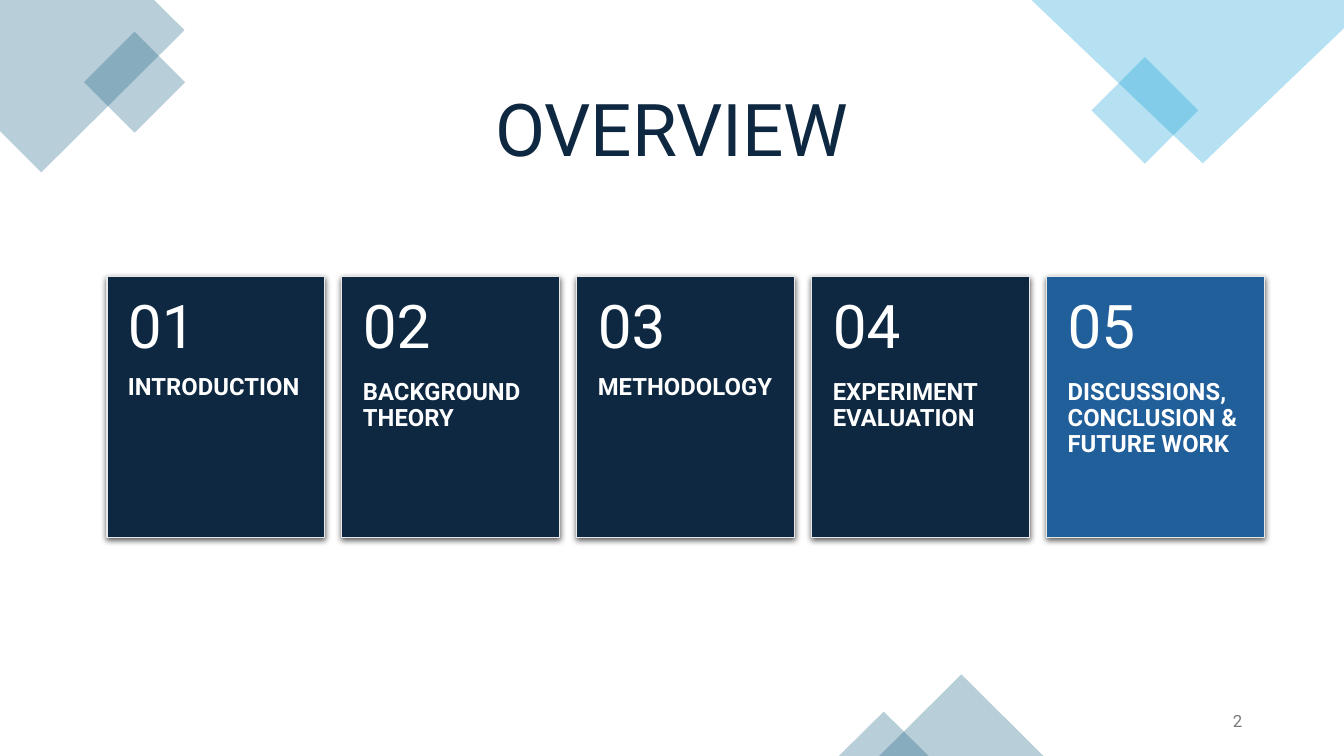
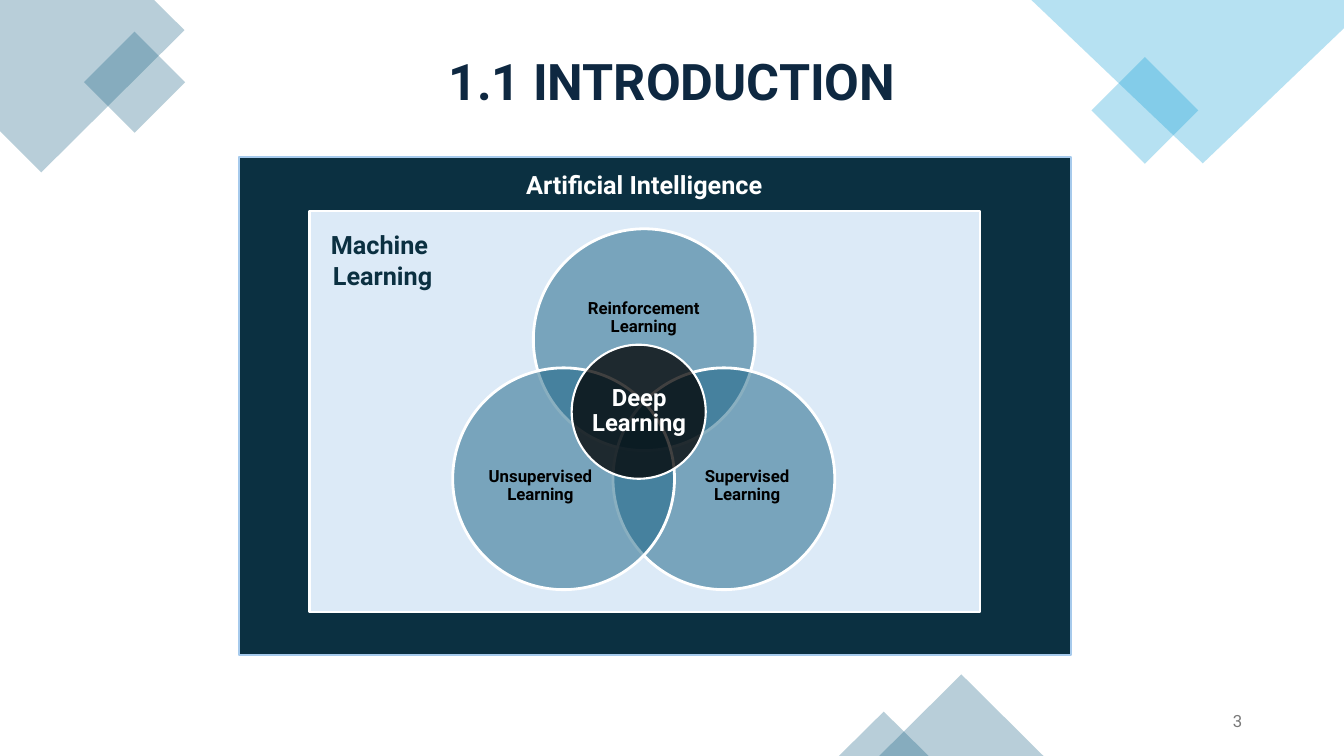
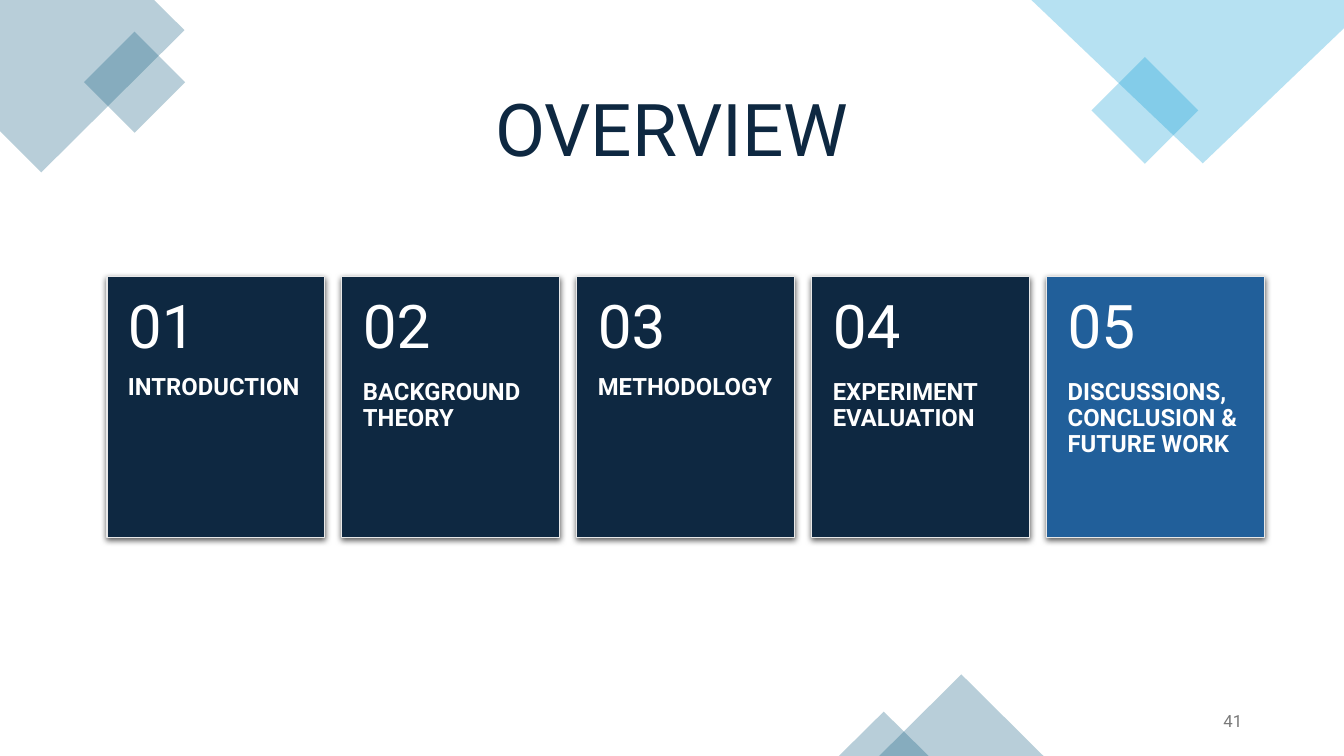
from lxml.etree import SubElement
from pptx import Presentation
from pptx.dml.color import RGBColor
from pptx.enum.shapes import MSO_SHAPE
from pptx.enum.text import MSO_ANCHOR, PP_ALIGN
from pptx.oxml.ns import qn
from pptx.util import Inches, Pt

NAVY = RGBColor(0x0E, 0x28, 0x41)
BLUE = RGBColor(0x21, 0x5F, 0x9A)
TEAL = RGBColor(0x15, 0x60, 0x82)
DARK_TEAL = RGBColor(0x0B, 0x30, 0x41)
SKY = RGBColor(0x0F, 0x9E, 0xD5)
PALE_BLUE = RGBColor(0xDC, 0xEA, 0xF7)
LIGHT_BLUE = RGBColor(0xA6, 0xCA, 0xEC)
LIGHT_GREY = RGBColor(0xE8, 0xE8, 0xE8)
GREY = RGBColor(0x79, 0x79, 0x79)
WHITE = RGBColor(0xFF, 0xFF, 0xFF)
BLACK = RGBColor(0, 0, 0)

FONT = "Roboto"
NO_INSETS = (0, 0, 0, 0)
SECTIONS = [
    "INTRODUCTION",
    "BACKGROUND THEORY",
    "METHODOLOGY",
    "EXPERIMENT EVALUATION",
    "DISCUSSIONS, CONCLUSION & FUTURE WORK",
]


def write(tf, text, size=18, color=WHITE, bold=False, align=PP_ALIGN.LEFT,
          anchor=MSO_ANCHOR.TOP, spacing=1.0, insets=(0.1, 0.05, 0.1, 0.05)):
    """Fill a text frame, one paragraph per line of text."""
    tf.word_wrap = True
    tf.vertical_anchor = anchor
    (tf.margin_left, tf.margin_top,
     tf.margin_right, tf.margin_bottom) = map(Inches, insets)
    for i, line in enumerate(text.split("\n")):
        p = tf.add_paragraph() if i else tf.paragraphs[0]
        p.alignment = align
        p.line_spacing = spacing
        r = p.add_run()
        r.text = line
        r.font.name = FONT
        r.font.size = Pt(size)
        r.font.bold = bold
        r.font.color.rgb = color


class Deck:
    def __init__(self):
        self.prs = Presentation()
        self.prs.slide_width = Inches(13.33)
        self.prs.slide_height = Inches(7.5)
        self.s = None

    def new_slide(self, number):
        self.s = self.prs.slides.add_slide(self.prs.slide_layouts[6])
        self.corners()
        self.text(9.42, 6.95, 3, 0.4, str(number), size=12, color=GREY,
                  align=PP_ALIGN.RIGHT, anchor=MSO_ANCHOR.MIDDLE)

    def paint(self, sp, fill, opacity=100, line=None, weight=1):
        sp.shadow.inherit = False
        sp.fill.solid()
        sp.fill.fore_color.rgb = fill
        if opacity < 100:
            color = sp.element.spPr.find(qn("a:solidFill"))[0]
            SubElement(color, qn("a:alpha"), val=str(opacity * 1000))
        if line is None:
            sp.line.fill.background()
        else:
            sp.line.color.rgb = line
            sp.line.width = Pt(weight)
        return sp

    def shape(self, kind, x, y, w, h, fill, **style):
        sp = self.s.shapes.add_shape(kind, Inches(x), Inches(y),
                                     Inches(w), Inches(h))
        return self.paint(sp, fill, **style)

    def polygon(self, points, fill, **style):
        start, *rest = [(Inches(x), Inches(y)) for x, y in points]
        builder = self.s.shapes.build_freeform(*start)
        builder.add_line_segments(rest)
        return self.paint(builder.convert_to_shape(), fill, **style)

    def diamond(self, x, y, side, fill, **style):
        """Draw a square turned on its corner."""
        sp = self.shape(MSO_SHAPE.RECTANGLE, x, y, side, side, fill, **style)
        sp.rotation = 315

    def text(self, x, y, w, h, text, **style):
        box = self.s.shapes.add_textbox(Inches(x), Inches(y),
                                        Inches(w), Inches(h))
        write(box.text_frame, text, **style)

    def title(self, text, y, size, bold=False):
        self.text(3.83, y, 5.67, 0.95, text, size=size, color=NAVY, bold=bold,
                  align=PP_ALIGN.CENTER, anchor=MSO_ANCHOR.BOTTOM, spacing=0.9)

    def label(self, x, y, w, h, text, size, color):
        self.text(x, y, w, h, text, size=size, color=color, bold=True,
                  align=PP_ALIGN.CENTER, anchor=MSO_ANCHOR.MIDDLE,
                  spacing=0.9, insets=NO_INSETS)

    def corners(self):
        """Draw the translucent diamonds around the slide's edges."""
        self.polygon([(1.53, 0), (0, 0), (0, 1.3), (0.41, 1.71), (1.83, 0.3)],
                     TEAL, opacity=30)
        self.diamond(0.98, 0.46, 0.71, TEAL, opacity=30)
        self.diamond(10.98, 0.72, 0.75, SKY, opacity=30)
        self.polygon([(13.33, 0), (10.23, 0), (11.93, 1.62), (13.33, 0.28)],
                     SKY, opacity=30)
        for x, y, w in [(8.72, 6.69, 1.63), (8.32, 7.06, 0.89)]:
            self.shape(MSO_SHAPE.ISOSCELES_TRIANGLE, x, y, w, 7.5 - y,
                       TEAL, opacity=30)

    def drop_shadow(self, sp):
        effects = sp.element.spPr.find(qn("a:effectLst"))
        shadow = SubElement(effects, qn("a:outerShdw"), blurRad=str(Pt(4.5)),
                            dist=str(Pt(1.5)), dir="5400000", rotWithShape="0")
        color = SubElement(shadow, qn("a:srgbClr"), val=str(BLACK))
        SubElement(color, qn("a:alpha"), val="63000")

    def card(self, x, number, heading, fill):
        y, w = 2.74, 2.16
        sp = self.shape(MSO_SHAPE.RECTANGLE, x, y, w, 2.59, fill,
                        line=LIGHT_GREY)
        self.drop_shadow(sp)
        self.text(x, y + 1.03, w, 1.55, heading, size=17, bold=True,
                  spacing=0.9, insets=(0.21, 0, 0.2, 0.36))
        self.text(x, y, w, 1.04, f"{number:02}", size=43, spacing=0.9,
                  anchor=MSO_ANCHOR.MIDDLE, insets=(0.21, 0.18, 0.21, 0.18))


def overview(deck, number):
    deck.new_slide(number)
    deck.title("OVERVIEW", y=0.81, size=52)
    for i, heading in enumerate(SECTIONS):
        fill = BLUE if i == len(SECTIONS) - 1 else NAVY
        deck.card(1.06 + 2.33 * i, i + 1, heading, fill)


def introduction(deck, number):
    deck.new_slide(number)
    deck.shape(MSO_SHAPE.RECTANGLE, 2.37, 1.56, 8.25, 4.94, DARK_TEAL,
               line=LIGHT_BLUE, weight=1.5)
    deck.shape(MSO_SHAPE.RECTANGLE, 3.07, 2.09, 6.65, 3.98, PALE_BLUE,
               line=WHITE, weight=1.5)
    branches = [
        ("Reinforcement Learning", (5.29, 2.27), (5.58, 2.66, 1.61, 0.99)),
        ("Supervised Learning", (6.08, 3.65), (6.75, 4.22, 1.32, 1.21)),
        ("Unsupervised Learning", (4.49, 3.65), (4.7, 4.22, 1.32, 1.21)),
    ]
    for name, corner, label_box in branches:
        deck.shape(MSO_SHAPE.OVAL, *corner, 2.2, 2.2, TEAL, opacity=50,
                   line=WHITE, weight=2)
        deck.label(*label_box, name, size=12, color=BLACK)
    deck.text(5, 1.63, 2.78, 0.4, "Artificial Intelligence", bold=True,
              align=PP_ALIGN.CENTER)
    deck.text(2.86, 2.23, 1.87, 0.71, "Machine \nLearning", color=DARK_TEAL,
              bold=True, align=PP_ALIGN.CENTER)
    deck.title("1.1 INTRODUCTION", y=0.2, size=36, bold=True)
    deck.shape(MSO_SHAPE.OVAL, 5.67, 3.42, 1.33, 1.33, BLACK, opacity=75,
               line=WHITE, weight=1.5)
    deck.label(5.86, 3.61, 0.96, 0.94, "Deep Learning", size=17, color=WHITE)


def main():
    deck = Deck()
    overview(deck, 2)
    introduction(deck, 3)
    overview(deck, 41)
    deck.prs.save("out.pptx")


if __name__ == "__main__":
    main()
